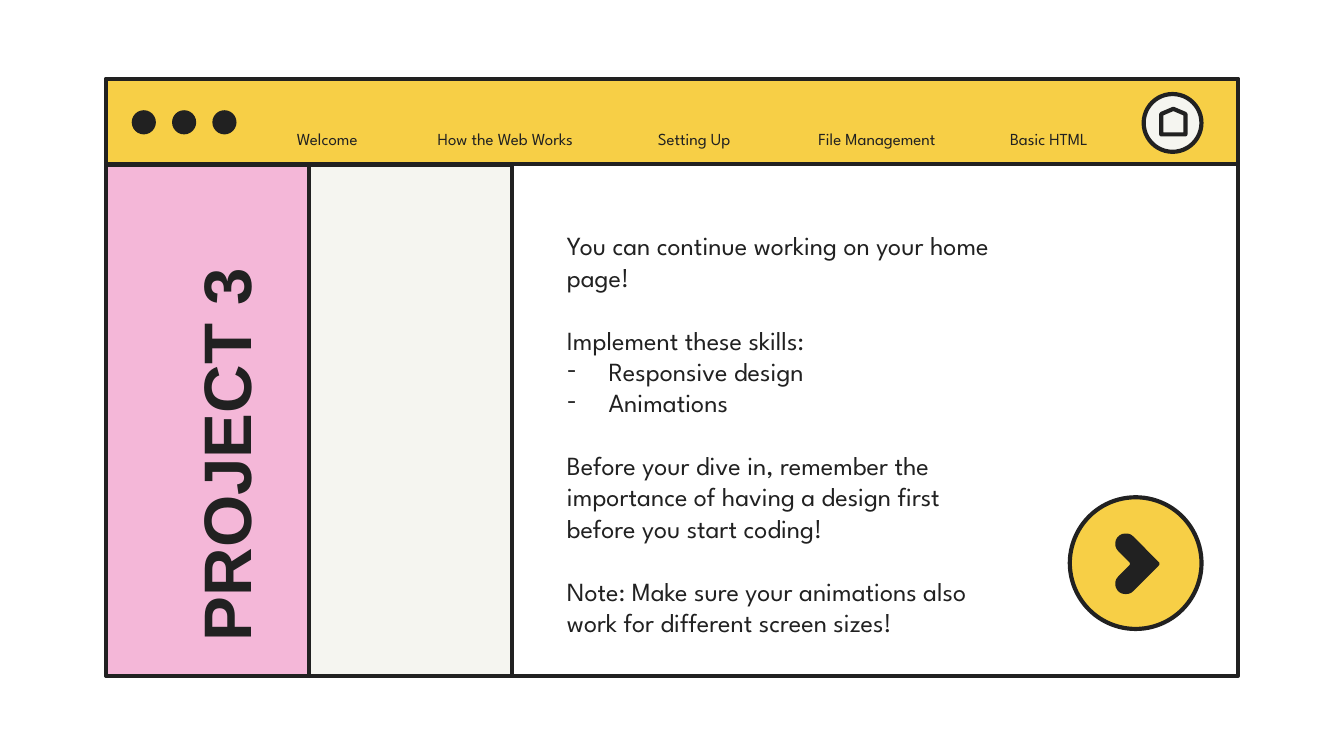
from lxml import etree
from pptx import Presentation
from pptx.dml.color import RGBColor
from pptx.enum.shapes import MSO_SHAPE
from pptx.enum.text import MSO_ANCHOR, MSO_AUTO_SIZE, PP_ALIGN
from pptx.oxml.ns import qn
from pptx.util import Pt

PX = 9144  # EMU in one px, 100 px to the inch
INK = RGBColor(0x21, 0x21, 0x21)
WHITE = RGBColor(0xFF, 0xFF, 0xFF)
YELLOW = RGBColor(0xF7, 0xCF, 0x46)
PINK = RGBColor(0xF4, 0xB7, 0xD8)
CREAM = RGBColor(0xF5, 0xF5, 0xF0)
HEADING_FONT, BODY_FONT = "Arial", "League Spartan"
RECT, OVAL = MSO_SHAPE.RECTANGLE, MSO_SHAPE.OVAL
HOUSE = MSO_SHAPE.FLOWCHART_OFFPAGE_CONNECTOR
TOP, MIDDLE = MSO_ANCHOR.TOP, MSO_ANCHOR.MIDDLE
LEFT, CENTER = PP_ALIGN.LEFT, PP_ALIGN.CENTER

LINE_GAP = 16.8  # points, one line of body text
BULLET_INDENT = 31
# text, bulleted, starts a new block
BODY = [
    ("You can continue working on your home page!", False, False),
    ("Implement these skills:", False, True),
    ("Responsive design", True, False),
    ("Animations", True, False),
    ("Before your dive in, remember the importance of having a design first "
     "before you start coding!", False, True),
    ("Note: Make sure your animations also work for different screen sizes!",
     False, True),
]
# label, left and width within the header bar
NAV = [
    ("Welcome", 93, 149),
    ("How the Web Works", 221, 158),
    ("Setting Up", 358, 165),
    ("File Management", 502, 149),
    ("Basic HTML", 630, 149),
]
# Each step is one point for a line or three for a curve
CHEVRON_START = (10, 0)
CHEVRON = [
    [(4, 0), (0, 8), (5, 13)], [(13, 21)],
    [(14, 22), (14, 23), (13, 24)], [(5, 32)],
    [(0, 37), (4, 45), (10, 45)], [(12, 45), (14, 45), (16, 43)], [(35, 24)],
    [(36, 23), (36, 22), (35, 21)], [(16, 2)],
    [(14, 0), (12, 0), (10, 0)],
]
CURVE_STEPS = 8
FINE = 100  # freeform units in one px


def place(shape, box):
    shape.left, shape.top, shape.width, shape.height = (v * PX for v in box)


def add_shape(page, kind, box, fill=None, line=INK):
    shape = page.shapes.add_shape(kind, *(v * PX for v in box))
    shape.shadow.inherit = False
    if fill is None:
        shape.fill.background()
    else:
        shape.fill.solid()
        shape.fill.fore_color.rgb = fill
    if line is None:
        shape.line.fill.background()
    else:
        shape.line.color.rgb = line
        shape.line.width = Pt(2.25)
    return shape


def format_frame(frame, anchor=TOP, insets=(10, 10, 10, 10)):
    """Insets run left, top, right, bottom."""
    frame.word_wrap = True
    frame.auto_size = MSO_AUTO_SIZE.NONE
    frame.vertical_anchor = anchor
    (frame.margin_left, frame.margin_top,
     frame.margin_right, frame.margin_bottom) = (v * PX for v in insets)


def write(para, text, size, font=BODY_FONT, bold=False, align=LEFT, before=0):
    para.alignment = align
    para.space_before = Pt(before)
    span = para.add_run()
    span.text = text
    span.font.name, span.font.size, span.font.bold = font, Pt(size), bold
    span.font.color.rgb = INK


def add_dash_bullet(para):
    props = para._p.get_or_add_pPr()
    props.set("marL", str(BULLET_INDENT * PX))
    props.set("indent", str(-BULLET_INDENT * PX))
    etree.SubElement(props, qn("a:buFont")).set("typeface", BODY_FONT)
    etree.SubElement(props, qn("a:buChar")).set("char", "-")


def add_header(page, box):
    left, top, width, height = box
    add_shape(page, RECT, box, YELLOW)
    for i in range(3):
        add_shape(page, OVAL, (left + 19 + 30 * i, top + 23, 18, 18), INK, None)
    add_shape(page, OVAL, (left + 772, top + 11, 43, 43), CREAM)
    house = add_shape(page, HOUSE, (left + 785, top + 22, 18, 19))
    house.rotation = 180
    for label, offset, label_width in NAV:
        text_box = page.shapes.add_textbox(
            *(v * PX for v in (left + offset, top + 23, label_width, 22)))
        format_frame(text_box.text_frame, MIDDLE, (10, 20, 16, 0))
        write(text_box.text_frame.paragraphs[0], label, 9, align=CENTER)


def add_title_panel(page, box):
    left, top, width, height = box
    panel = add_shape(page, RECT, box, PINK)
    title = page.shapes.title
    panel.element.addnext(title.element)  # bring the title in front
    place(title, (left - 86, top + 146, 352, 84))
    title.rotation = 270
    format_frame(title.text_frame)
    write(title.text_frame.paragraphs[0], "PROJECT 3", 36, HEADING_FONT, True)


def add_body(page, box):
    frame = page.shapes.add_textbox(*(v * PX for v in box)).text_frame
    format_frame(frame)
    for i, (text, bulleted, new_block) in enumerate(BODY):
        para = frame.add_paragraph() if i else frame.paragraphs[0]
        write(para, text, 14, before=LINE_GAP if new_block else 0)
        if bulleted:
            add_dash_bullet(para)


def curve_points(start, controls):
    """Points along a cubic curve, without its start."""
    points = []
    for step in range(1, CURVE_STEPS + 1):
        t = step / CURVE_STEPS
        weights = ((1 - t) ** 3, 3 * t * (1 - t) ** 2, 3 * t * t * (1 - t), t ** 3)
        points.append(tuple(
            sum(w * p[axis] for w, p in zip(weights, (start, *controls)))
            for axis in (0, 1)))
    return points


def add_next_button(page, box):
    left, top, width, height = box
    add_shape(page, OVAL, box, YELLOW)
    outline = [CHEVRON_START]
    for step in CHEVRON:
        outline += curve_points(outline[-1], step) if len(step) == 3 else step
    points = [(round(x * FINE), round(y * FINE)) for x, y in outline]
    builder = page.shapes.build_freeform(*points[0], scale=PX / FINE)
    builder.add_line_segments(points[1:], close=True)
    arrow = builder.convert_to_shape((left + 31) * PX, (top + 27) * PX)
    arrow.shadow.inherit = False
    arrow.fill.solid()
    arrow.fill.fore_color.rgb = INK
    arrow.line.fill.background()


def main():
    deck = Presentation()
    deck.slide_width = 1000 * PX
    deck.slide_height = deck.slide_width * 9 // 16
    page = deck.slides.add_slide(deck.slide_layouts[5])
    add_shape(page, RECT, (79, 59, 842, 444), WHITE)
    add_header(page, (79, 59, 842, 63))
    add_title_panel(page, (79, 123, 151, 380))
    add_shape(page, RECT, (230, 123, 151, 380), CREAM)
    add_body(page, (412, 161, 352, 319))
    add_next_button(page, (796, 370, 98, 98))
    deck.save("out.pptx")


if __name__ == "__main__":
    main()
